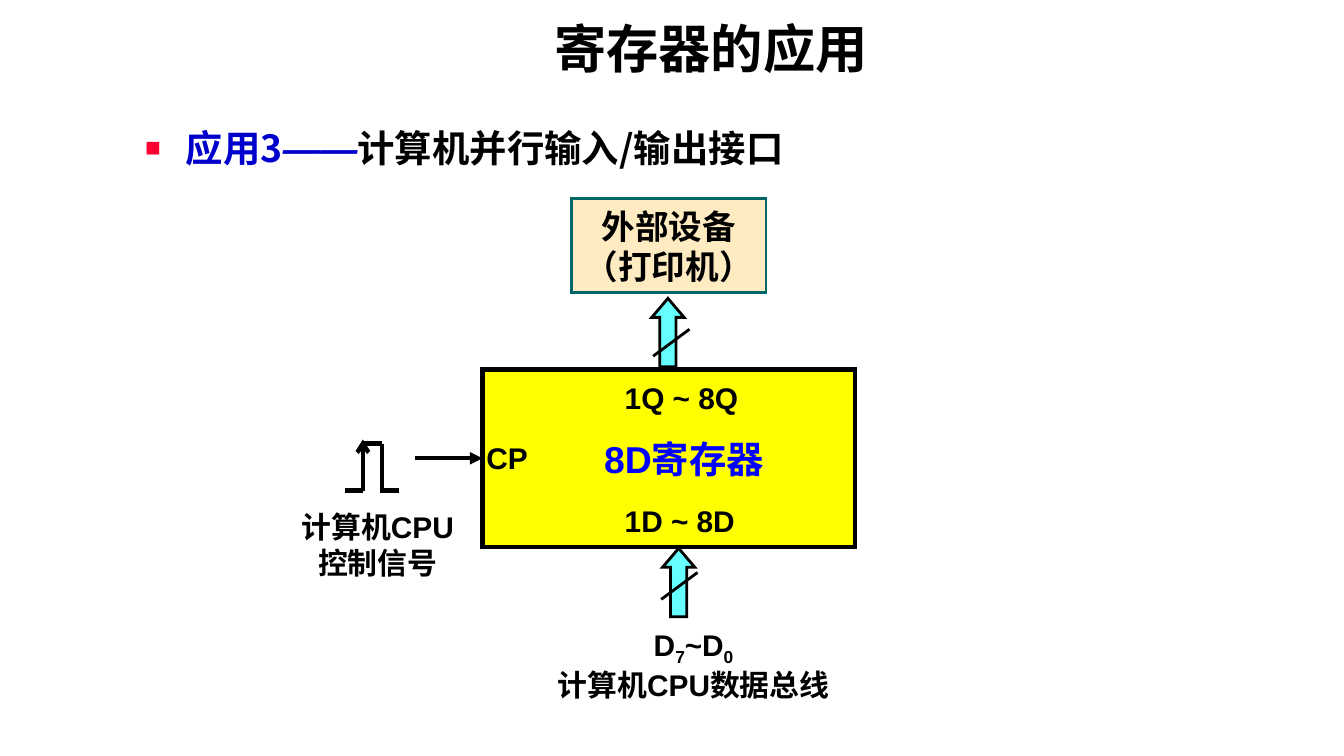
from lxml.etree import SubElement
from pptx import Presentation
from pptx.dml.color import RGBColor
from pptx.enum.shapes import MSO_CONNECTOR, MSO_SHAPE
from pptx.enum.text import MSO_ANCHOR, MSO_AUTO_SIZE, PP_ALIGN
from pptx.oxml.ns import qn
from pptx.util import Emu, Pt

EMU_PER_PX = 9144  # 100 px to the inch
SLIDE_WIDTH = 1000
CJK, LATIN = "Noto Sans CJK SC", "Arial"
BLACK = "000000"

TITLE = ("寄存器的应用", (363, 7, 332, 57))
BULLET_BOX = (98, 88, 614, 44)
BULLET_INDENT = 24
BULLET_RUNS = [  # text, font, colour, italic
    (" 应用3", CJK, "0000CC", False),
    ("——", LATIN, "0000CC", True),
    ("计算机并行输入/输出接口", CJK, BLACK, False),
]
DEVICE = (["外部设备", "（打印机）"], (425, 148, 145, 70))
REGISTER_BOX = (359, 275, 277, 132)

LABELS = [  # text, box, size, colour, wrap, alignment
    ("1Q ~ 8Q", (455, 277, 104, 37), 16, BLACK, False, PP_ALIGN.LEFT),
    ("1D ~ 8D", (455, 369, 102, 37), 16, BLACK, False, PP_ALIGN.LEFT),
    ("CP", (352, 322, 51, 37), 16, BLACK, False, PP_ALIGN.LEFT),
    ("8D寄存器", (438, 303, 142, 77), 20, "0000FF", True, PP_ALIGN.CENTER),
    ("计算机CPU控制信号", (210, 373, 142, 64), 16, BLACK, True, PP_ALIGN.CENTER),
]
BUS_BOX = (375, 461, 282, 67)
BUS_BITS = [("D", False), ("7", True), ("~D", False), ("0", True)]  # text, subscript
BUS_NAME = "计算机CPU数据总线"

BUS_ARROWS = [((485, 222), (486, 265)), ((493, 408), (492, 446))]  # arrow corner, slash start
ARROW_SIZE = (24, 51)
SLASH = (27, -20)
CLOCK_START = (309, 341)
PULSE = [  # from, to, arrowhead
    ((257, 365), (270, 365), None),
    ((270, 365), (270, 327), "arrow"),
    ((269, 330), (284, 330), None),
    ((284, 330), (284, 367), None),
    ((284, 365), (297, 365), None),
]


def px(*lengths):
    return [Emu(length * EMU_PER_PX) for length in lengths]


def rgb(value):
    return RGBColor.from_string(value)


def set_font(paragraph, size, colour=BLACK, name=LATIN, align=PP_ALIGN.CENTER):
    paragraph.alignment = align
    paragraph.space_before = Pt(0)
    font = paragraph.font
    font.size, font.bold, font.name = Pt(size), True, name
    font.color.rgb = rgb(colour)
    defaults = paragraph._p.pPr.find(qn("a:defRPr"))
    SubElement(defaults, qn("a:ea")).set("typeface", CJK)


def set_frame(shape, anchor=MSO_ANCHOR.MIDDLE, wrap=True):
    frame = shape.text_frame
    frame.auto_size = MSO_AUTO_SIZE.NONE
    frame.word_wrap = wrap
    frame.vertical_anchor = anchor
    return frame


def place(shape, box):
    shape.left, shape.top, shape.width, shape.height = px(*box)


def set_line(shape, colour, width, head=None):
    shape.line.color.rgb = rgb(colour)
    shape.line.width = Pt(width)
    line = shape._element.spPr.find(qn("a:ln"))
    SubElement(line, qn("a:miter")).set("lim", "800000")
    if head:
        SubElement(line, qn("a:tailEnd")).set("type", head)


def add_block(slide, kind, box, fill, line, width):
    shape = slide.shapes.add_shape(kind, *px(*box))
    shape.shadow.inherit = False
    shape.fill.solid()
    shape.fill.fore_color.rgb = rgb(fill)
    set_line(shape, line, width)
    return shape


def add_line(slide, start, end, width, head=None):
    line = slide.shapes.add_connector(MSO_CONNECTOR.STRAIGHT, *px(*start, *end))
    set_line(line, BLACK, width, head)
    SubElement(line._element.spPr, qn("a:effectLst"))
    return line


def add_bullet(paragraph):
    properties = paragraph._p.get_or_add_pPr()
    properties.set("marL", str(BULLET_INDENT * EMU_PER_PX))
    properties.set("indent", str(-BULLET_INDENT * EMU_PER_PX))
    colour = SubElement(properties, qn("a:buClr"))
    SubElement(colour, qn("a:srgbClr")).set("val", "FF0033")
    SubElement(properties, qn("a:buSzPct")).set("val", "70000")
    SubElement(properties, qn("a:buFont")).set("typeface", LATIN)
    SubElement(properties, qn("a:buChar")).set("char", "■")


def add_heading(slide):
    title = slide.shapes.title
    place(title, TITLE[1])
    paragraph = set_frame(title, MSO_ANCHOR.TOP).paragraphs[0]
    paragraph.text = TITLE[0]
    set_font(paragraph, 28, name=CJK)

    body = slide.placeholders[1]
    place(body, BULLET_BOX)
    paragraph = set_frame(body, MSO_ANCHOR.TOP).paragraphs[0]
    add_bullet(paragraph)
    set_font(paragraph, 20, name=CJK, align=PP_ALIGN.LEFT)
    for text, name, colour, italic in BULLET_RUNS:
        run = paragraph.add_run()
        run.text = text
        run.font.name, run.font.italic = name, italic
        run.font.color.rgb = rgb(colour)


def add_blocks(slide):
    lines, box = DEVICE
    device = add_block(slide, MSO_SHAPE.RECTANGLE, box, "FFEBC2", "006666", 1.5)
    frame = set_frame(device, wrap=False)
    frame.text = "\n".join(lines)
    for paragraph in frame.paragraphs:
        set_font(paragraph, 18, name=CJK)

    register = add_block(slide, MSO_SHAPE.RECTANGLE, REGISTER_BOX, "FFFF00", BLACK, 2.25)
    clock = add_line(slide, CLOCK_START, (REGISTER_BOX[0], CLOCK_START[1]), 2.25, "triangle")
    clock.end_connect(register, 1)


def add_labels(slide):
    for text, box, size, colour, wrap, align in LABELS:
        frame = set_frame(slide.shapes.add_textbox(*px(*box)), wrap=wrap)
        frame.text = text
        set_font(frame.paragraphs[0], size, colour, align=align)

    frame = set_frame(slide.shapes.add_textbox(*px(*BUS_BOX)))
    bits, name = frame.paragraphs[0], frame.add_paragraph()
    for text, subscript in BUS_BITS:
        run = bits.add_run()
        run.text = text
        if subscript:
            run._r.get_or_add_rPr().set("baseline", "-25000")
    name.text = BUS_NAME
    for paragraph in (bits, name):
        set_font(paragraph, 16)


def add_signals(slide):
    for corner, (x, y) in BUS_ARROWS:
        arrow = add_block(slide, MSO_SHAPE.UP_ARROW, corner + ARROW_SIZE, "66FFFF", BLACK, 1.5)
        arrow.adjustments[0], arrow.adjustments[1] = 0.5, 0.59
        add_line(slide, (x, y), (x + SLASH[0], y + SLASH[1]), 1.5)
    for start, end, head in PULSE:
        add_line(slide, start, end, 2.25, head)


def main():
    presentation = Presentation()
    width = SLIDE_WIDTH * EMU_PER_PX
    presentation.slide_width, presentation.slide_height = Emu(width), Emu(width * 9 // 16)
    slide = presentation.slides.add_slide(presentation.slide_layouts[1])
    add_heading(slide)
    add_blocks(slide)
    add_labels(slide)
    add_signals(slide)
    presentation.save("out.pptx")


if __name__ == "__main__":
    main()
